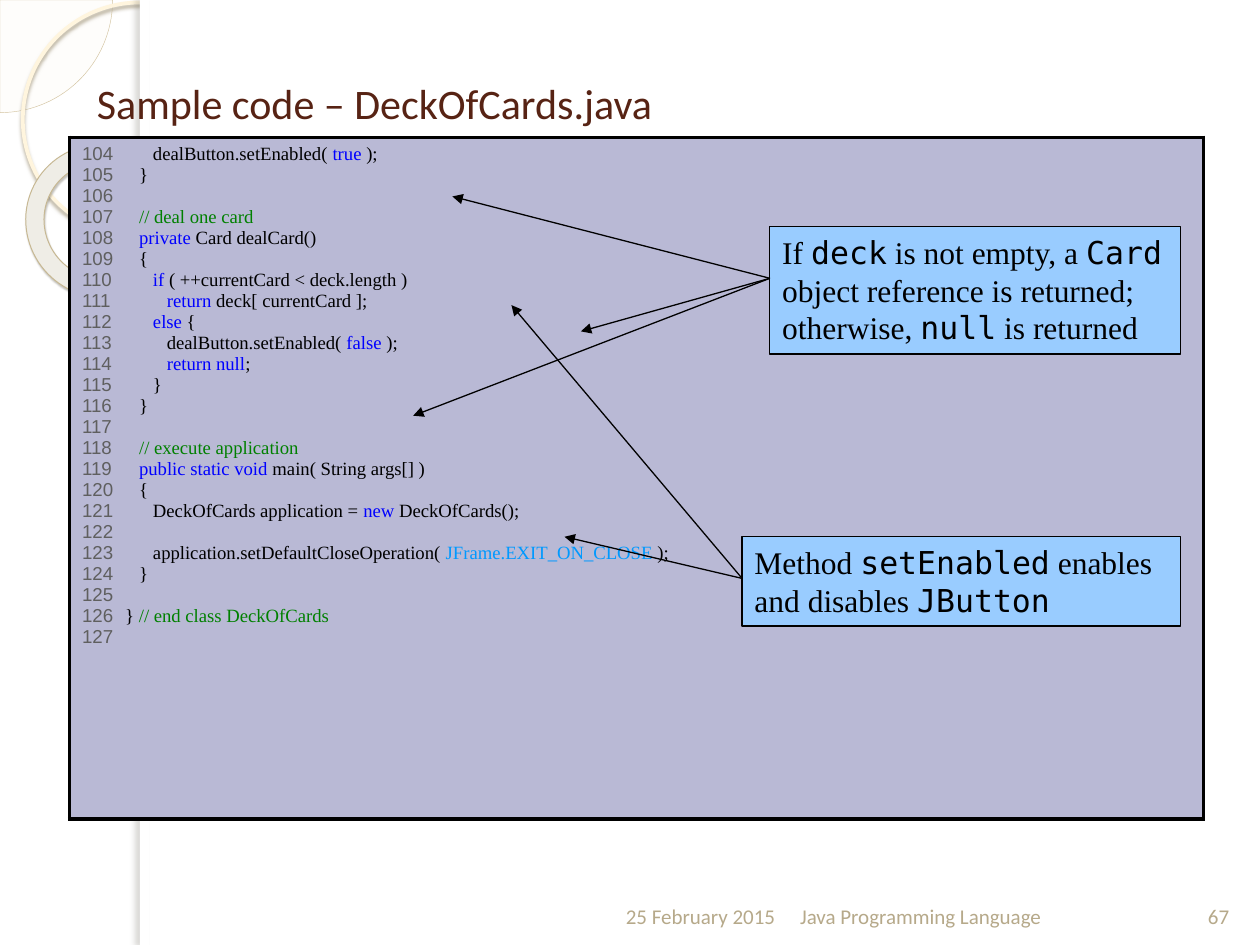
from lxml.etree import SubElement
from pptx import Presentation
from pptx.dml.color import RGBColor
from pptx.enum.shapes import MSO_CONNECTOR, MSO_SHAPE
from pptx.enum.text import MSO_ANCHOR, PP_ALIGN
from pptx.oxml import parse_xml
from pptx.oxml.ns import nsdecls, qn
from pptx.util import Cm, Pt

SERIF, SANS, MONO, THEME = "Times New Roman", "Arial", "DejaVu Sans Mono", "Calibri"
FIRST_LINE = 104
CODE_SIZE = 10.7
CODE_START, CODE_INDENT = 0.87, 0.28

# Indent level and code; text between bars is highlighted
CODE = [
    (2, "dealButton.setEnabled( |true| );"),
    (1, "}"),
    (0, ""),
    (1, "|// deal one card|"),
    (1, "|private| Card dealCard()"),
    (1, "{"),
    (2, "|if| ( ++currentCard < deck.length )"),
    (3, "|return| deck[ currentCard ];"),
    (2, "|else| {"),
    (3, "dealButton.setEnabled( |false| );"),
    (3, "|return null|;"),
    (2, "}"),
    (1, "}"),
    (0, ""),
    (1, "|// execute application|"),
    (1, "|public static void| main( String args[] )"),
    (1, "{"),
    (2, "DeckOfCards application = |new| DeckOfCards();"),
    (0, ""),
    (2, "application.setDefaultCloseOperation( |JFrame.EXIT_ON_CLOSE| );"),
    (1, "}"),
    (0, ""),
    (0, "} |// end class DeckOfCards|"),
    (0, ""),
]


def color(hex_string):
    return RGBColor.from_string(hex_string)


def place(box):
    return [Cm(length) for length in box]


def add_text(paragraph, text, font=SERIF, size=18, fill="000000", align=None):
    run = paragraph.add_run()
    run.text = text
    run.font.name = font
    run.font.size = Pt(size)
    run.font.color.rgb = color(fill)
    if align is not None:
        paragraph.alignment = align


def split_marked(text):
    """Yield each piece of text and whether it stood between bars."""
    for index, piece in enumerate(text.split("|")):
        if piece:
            yield piece, index % 2 == 1


def add_shadow(shape, hex_string, opacity, blur, distance, angle):
    effects = shape._element.spPr.find(qn("a:effectLst"))
    shadow = SubElement(effects, qn("a:outerShdw"), blurRad=str(Pt(blur)),
                        dist=str(Pt(distance)), dir=str(angle * 60000),
                        algn="tl", rotWithShape="0")
    tint = SubElement(shadow, qn("a:srgbClr"), val=hex_string)
    SubElement(tint, qn("a:alpha"), val=str(opacity * 1000))


def add_figure(slide, kind, box, fill=None, line=None, width=0.75, shadow=None):
    figure = slide.shapes.add_shape(kind, *place(box))
    figure.shadow.inherit = False
    if fill:
        figure.fill.solid()
        figure.fill.fore_color.rgb = color(fill)
    else:
        figure.fill.background()
    if line:
        figure.line.color.rgb = color(line)
        figure.line.width = Pt(width)
    else:
        figure.line.fill.background()
    if shadow:
        add_shadow(figure, *shadow)
    return figure


def add_side_decoration(slide, box):
    left, top, width, height = box
    # Quarter disc, ring and donut in the corner
    quarter = add_figure(slide, MSO_SHAPE.PIE, (left - 2.27, top - 2.27, 4.54, 4.54),
                         "FEFDFB", "D3C39F", 0.25)
    quarter.adjustments[0] = 0
    quarter.adjustments[1] = 54
    add_figure(slide, MSO_SHAPE.OVAL, (left + 0.46, top + 0.05, 4.72, 4.72),
               line="FFF5DE", width=2.15, shadow=("B0A68F", 85, 2, 2, 90))
    donut = add_figure(slide, MSO_SHAPE.DONUT, (left + 0.51, top + 2.92, 3.12, 3.07),
                       "EFEDE6", "C7B893", 0.58, ("5A5444", 35, 1, 1.2, 75))
    donut.adjustments[0] = 0.12
    donut.rotation = 38.6
    # White page and its shaded edge
    add_figure(slide, MSO_SHAPE.RECTANGLE, (left + width, top, 25.4 - width, height), "FFFFFF")
    add_figure(slide, MSO_SHAPE.RECTANGLE, (left + width, top, 0.2, height), "FFFFFF",
               shadow=("736F63", 25, 3, 3, 180))


def add_title(slide, box, text):
    title = slide.shapes.title
    title.left, title.top, title.width, title.height = place(box)
    title.text_frame.vertical_anchor = MSO_ANCHOR.MIDDLE
    add_text(title.text_frame.paragraphs[0], text, font=THEME, size=24,
             fill="572314", align=PP_ALIGN.LEFT)
    # Bring the title in front of the decoration
    title.element.getparent().append(title.element)


def add_footer(slide, box):
    left, top, width, height = box
    parts = [("25 February 2015", 5.92, PP_ALIGN.RIGHT),
             ("Java Programming Language", 8.05, PP_ALIGN.LEFT),
             ("67", 1.27, PP_ALIGN.CENTER)]
    for text, part_width, align in parts:
        frame = slide.shapes.add_textbox(*place((left, top, part_width, height))).text_frame
        frame.word_wrap = True
        frame.vertical_anchor = MSO_ANCHOR.BOTTOM
        add_text(frame.paragraphs[0], text, font=THEME, size=12, fill="B6A98A", align=align)
        left += part_width


def highlight_color(piece):
    if piece.startswith("//"):
        return "008000"
    return "0099FF" if piece.startswith("JFrame") else "0000FF"


def add_code_line(paragraph, number, level, code):
    tabs = SubElement(paragraph._p.get_or_add_pPr(), qn("a:tabLst"))
    SubElement(tabs, qn("a:tab"), pos=str(Cm(CODE_START + level * CODE_INDENT)), algn="l")
    add_text(paragraph, f"{number}\t" if code else str(number),
             font=SANS, size=CODE_SIZE, fill="5F5F5F")
    for piece, marked in split_marked(code):
        add_text(paragraph, piece, size=CODE_SIZE,
                 fill=highlight_color(piece) if marked else "000000")


def add_listing(slide, box):
    table = slide.shapes.add_table(1, 1, *place(box)).table
    table.first_row = table.horz_banding = False
    cell = table.cell(0, 0)
    # Border on all four sides
    for side in "LRTB":
        cell._tc.get_or_add_tcPr().append(parse_xml(
            f'<a:ln{side} {nsdecls("a")} w="{Pt(2.25)}"><a:solidFill>'
            f'<a:srgbClr val="000000"/></a:solidFill></a:ln{side}>'))
    cell.fill.solid()
    cell.fill.fore_color.rgb = color("B9B9D5")
    frame = cell.text_frame
    for index, (level, code) in enumerate(CODE):
        paragraph = frame.add_paragraph() if index else frame.paragraphs[0]
        add_code_line(paragraph, FIRST_LINE + index, level, code)


def add_callout(slide, box, text, arrow_start, targets):
    left, top = box[:2]
    note = add_figure(slide, MSO_SHAPE.RECTANGLE, box, "99CCFF", "000000")
    frame = note.text_frame
    frame.word_wrap = True
    frame.vertical_anchor = MSO_ANCHOR.TOP
    paragraph = frame.paragraphs[0]
    for piece, marked in split_marked(text):
        add_text(paragraph, piece, font=MONO if marked else SERIF, align=PP_ALIGN.LEFT)
    # Arrows to the code the note explains
    for across, down in targets:
        arrow = slide.shapes.add_connector(
            MSO_CONNECTOR.STRAIGHT,
            *place((left, top + arrow_start, left + across, top + down)))
        arrow.line.color.rgb = color("000000")
        arrow.line.width = Pt(0.75)
        SubElement(arrow.line._get_or_add_ln(), qn("a:tailEnd"), type="triangle")
        SubElement(arrow._element.spPr, qn("a:effectLst"))


def main():
    deck = Presentation()
    deck.slide_width, deck.slide_height = Cm(25.4), Cm(19.05)
    slide = deck.slides.add_slide(deck.slide_layouts[5])
    add_side_decoration(slide, (0, 0, 2.82, 19.05))
    add_title(slide, (1.7, 1.17, 17.4, 1.8), "Sample code – DeckOfCards.java")
    add_footer(slide, (9.96, 17.53, 15.24, 1.32))
    add_listing(slide, (1.4, 2.77, 22.86, 13.74))
    add_callout(slide, (15.52, 4.57, 8.28, 2.57),
                "If |deck| is not empty, a |Card| object reference is returned; "
                "otherwise, |null| is returned",
                1.04, [(-6.4, -0.61), (-3.81, 2.11), (-7.19, 3.81)])
    add_callout(slide, (14.96, 10.82, 8.84, 1.8),
                "Method |setEnabled| enables and disables |JButton|",
                0.84, [(-4.65, -4.67), (-3.58, 0)])
    deck.save("out.pptx")


if __name__ == "__main__":
    main()
